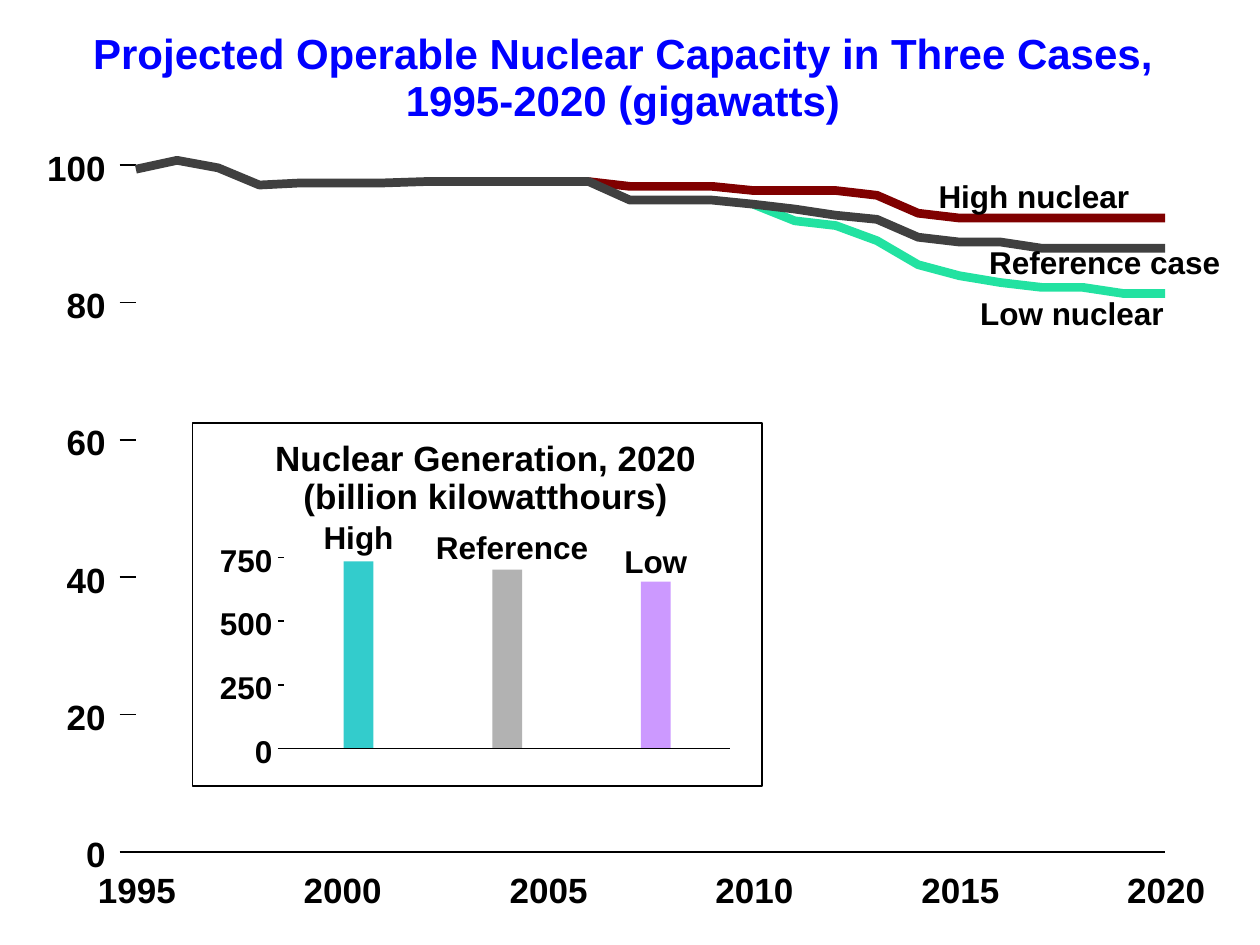
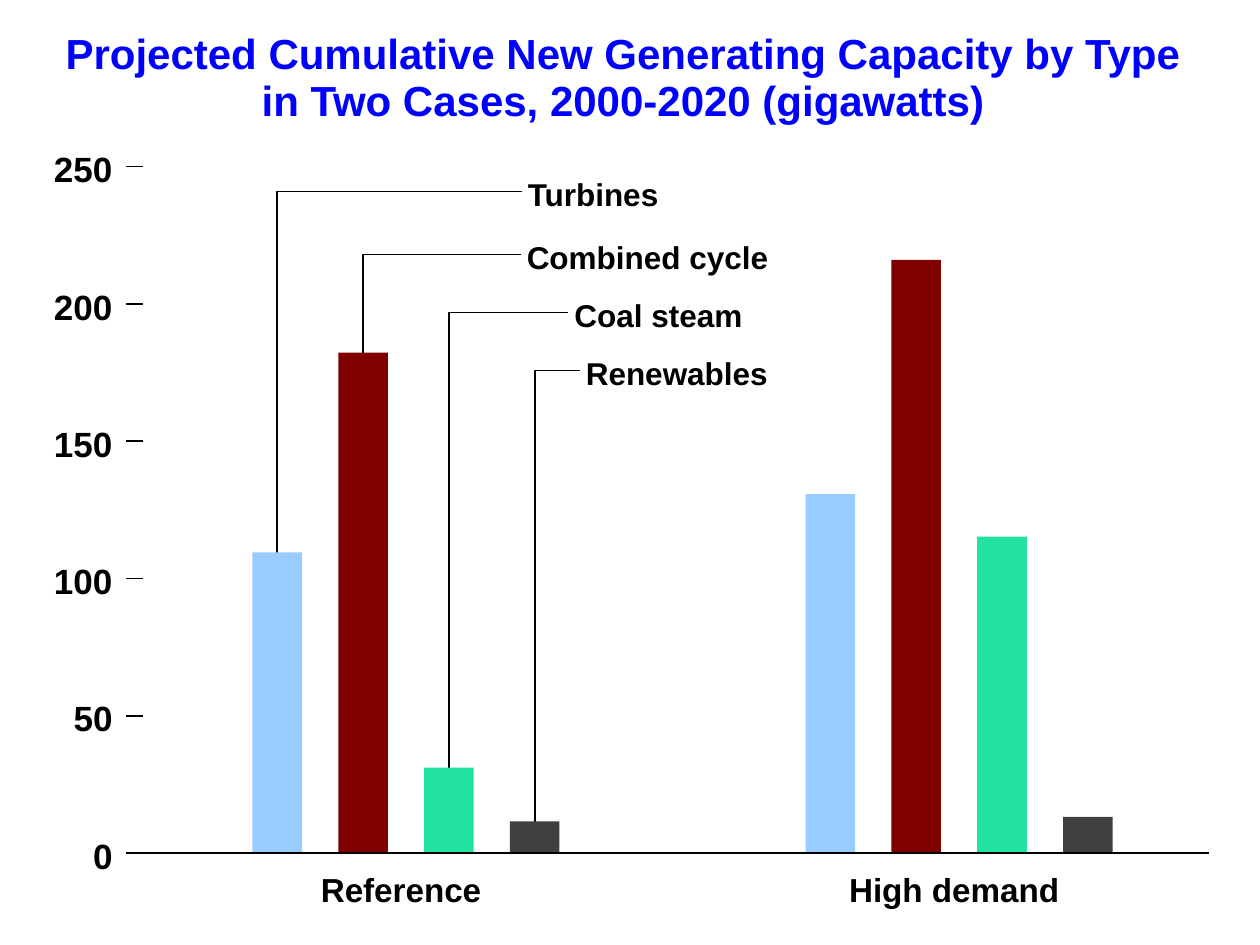
from pptx import Presentation, util as u
from pptx.dml.color import RGBColor
from pptx.enum import shapes, text
from pptx.oxml.ns import qn
from lxml import etree

BLACK, BLUE, MAROON, GREEN, GRAY = "000000", "0000FF", "800000", "22E2A1", "404040"
LEFT, CENTER, RIGHT = text.PP_ALIGN.LEFT, text.PP_ALIGN.CENTER, text.PP_ALIGN.RIGHT
FONT = {"name": "Arial", "bold": True}
TITLE_CENTER, TITLE_TOP = 12.56, 0.62
LINE_HEIGHT = 0.0423   # cm of line height per point of text
DIGIT_WIDTH = 0.0197   # cm of digit width per point of text
SLACK = 0.1            # cm added to each text width so that no line breaks


def rgb(value):
    return RGBColor.from_string(value)


def add_text(page, lines, left, top, width, size=18, align=CENTER, color=BLACK, spacing=None):
    """Place bold lines in a box; left is the edge or centre that align names."""
    width += SLACK
    shift = {LEFT: 0, CENTER: width / 2, RIGHT: width}[align]
    height = len(lines) * size * LINE_HEIGHT * (spacing or 1)
    box = page.shapes.add_textbox(u.Cm(left - shift), u.Cm(top), u.Cm(width), u.Cm(height))
    frame = box.text_frame
    layout = {"word_wrap": False, "auto_size": text.MSO_AUTO_SIZE.SHAPE_TO_FIT_TEXT,
              "margin_left": 0, "margin_top": 0, "margin_right": 0, "margin_bottom": 0}
    for name, value in layout.items():
        setattr(frame, name, value)
    for index, line in enumerate(lines):
        para = frame.add_paragraph() if index else frame.paragraphs[0]
        para.alignment = align
        if spacing:
            para.line_spacing = spacing
        span = para.add_run()
        span.text = line
        for name, value in {**FONT, "size": u.Pt(size)}.items():
            setattr(span.font, name, value)
        span.font.color.rgb = rgb(color)


def add_title(page, lines, width):
    add_text(page, lines, TITLE_CENTER, TITLE_TOP, width, 24, color=BLUE, spacing=0.95)


def set_line(shape, color, width):
    shape.line.color.rgb = rgb(color)
    shape.line.width = u.Pt(width)


def add_rule(page, x1, x2, y):
    rule = page.shapes.add_connector(
        shapes.MSO_CONNECTOR.STRAIGHT, u.Cm(x1), u.Cm(y), u.Cm(x2), u.Cm(y))
    set_line(rule, BLACK, 1)
    etree.SubElement(rule.element.spPr, qn("a:effectLst"))


def add_rect(page, left, top, width, height, fill=None):
    """Filled bar, or an outlined frame when no fill is given."""
    rect = page.shapes.add_shape(
        shapes.MSO_SHAPE.RECTANGLE, u.Cm(left), u.Cm(top), u.Cm(width), u.Cm(height))
    rect.shadow.inherit = False
    if fill:
        rect.fill.solid()
        rect.fill.fore_color.rgb = rgb(fill)
        rect.line.fill.background()
    else:
        rect.fill.background()
        set_line(rect, BLACK, 1)


def add_path(page, points, color, width):
    places = [(u.Cm(x), u.Cm(y)) for x, y in points]
    builder = page.shapes.build_freeform(*places[0], scale=1.0)
    builder.add_line_segments(places[1:], close=False)
    outline = builder.convert_to_shape()
    outline.shadow.inherit = False
    outline.fill.background()
    set_line(outline, color, width)


def height_of(value, box, peak):
    return value / peak * box[3]


def add_axes(page, box, peak, step, size=20, tick=0.33):
    """Baseline, ticks and right-aligned values of a plot box."""
    left, top, width, height = box
    for value in range(0, peak + 1, step):
        y = top + height - height_of(value, box, peak)
        add_rule(page, left - tick, left, y)
        number = str(value)
        add_text(page, [number], left - 1.85 * tick, y - 0.45 * size * LINE_HEIGHT,
                 len(number) * size * DIGIT_WIDTH, size, RIGHT)
    add_rule(page, left, left + width, top + height)


def add_bar(page, box, peak, x, width, value, color):
    """Bar standing on the baseline; returns its top."""
    height = height_of(value, box, peak)
    top = box[1] + box[3] - height
    add_rect(page, x, top, width, height, color)
    return top


# Slide 1: capacity lines with an inset bar plot

FIRST_YEAR, LAST_YEAR = 1995, 2020
SERIES = [  # first year, colour, gigawatts by year
    (2010, GREEN, [94.3, 91.9, 91.2, 89, 85.5, 83.9, 82.9, 82.2, 82.2, 81.3, 81.3]),
    (2006, MAROON, [97.6] + [96.9] * 3 + [96.3] * 3 + [95.6, 93] + [92.3] * 6),
    (1995, GRAY, [99.4, 100.7, 99.6, 97.1] + [97.4] * 3 + [97.6] * 5 + [94.9] * 3
     + [94.3, 93.6, 92.7, 92.1, 89.5, 88.8, 88.8] + [87.9] * 4),
]
SERIES_LABELS = [  # text, offset in the plot, width
    ("High nuclear", 16.18, 0.23, 3.84),
    ("Reference case", 17.2, 1.57, 4.67),
    ("Low nuclear", 17.02, 2.59, 3.71),
]
GENERATION = [  # case, billion kilowatthours, colour, label width, label shift, label rise
    ("High", 735, "33CCCC", 1.42, 0, 0.88),
    ("Reference", 703, "B2B2B2", 3.07, 0.1, 0.84),
    ("Low", 656, "CC99FF", 1.27, 0, 0.8),
]


def add_capacity_lines(page, box):
    left, top, width, height = box
    peak = 100
    year_step = width / (LAST_YEAR - FIRST_YEAR)
    add_axes(page, box, peak, 20)
    for year in range(FIRST_YEAR, LAST_YEAR + 1, 5):
        add_text(page, [str(year)], left + (year - FIRST_YEAR) * year_step + 0.02,
                 top + height + 0.33, 1.57, 20)
    for start, color, values in SERIES:
        points = [(left + (year - FIRST_YEAR) * year_step,
                   top + height - height_of(value, box, peak))
                  for year, value in enumerate(values, start)]
        add_path(page, points, color, 5)
    for label, dx, dy, label_width in SERIES_LABELS:
        add_text(page, [label], left + dx, top + dy, label_width, align=LEFT)


def add_generation_inset(page, box):
    left, top, width, height = box
    add_rect(page, *box)
    add_text(page, ["Nuclear Generation, 2020", "(billion kilowatthours)"],
             left + 5.91, top + 0.36, 8.48, 20, spacing=0.9)
    plot = (left + 1.85, top + 2.71, 8.99, 3.85)
    peak, bar_width = 750, 0.6
    slot = plot[2] / len(GENERATION)
    for index, (case, value, color, label_width, shift, rise) in enumerate(GENERATION):
        center = plot[0] + (index + 0.5) * slot
        bar_top = add_bar(page, plot, peak, center - bar_width / 2, bar_width, value, color)
        add_text(page, [case], center + shift, bar_top - rise, label_width)
    add_axes(page, plot, peak, 250, 18, 0.13)


def add_nuclear_slide(page):
    add_title(page, ["Projected Operable Nuclear Capacity in Three Cases,",
                     "1995-2020 (gigawatts)"], 21.36)
    add_capacity_lines(page, (2.74, 3.33, 20.75, 13.84))
    add_generation_inset(page, (3.88, 8.53, 11.48, 7.32))


# Slide 2: grouped bars with leader labels

CASES = [  # case, label width, gigawatts by type
    ("Reference", 3.23, [109.6, 182.3, 31.2, 11.6]),
    ("High demand", 4.24, [130.7, 216.1, 115.3, 13.2]),
]
TYPES = [  # type, bar colour, leader foot, elbow and end in the plot, label width
    ("Turbines", "99CCFF", 9.06, 0.5, 7.64, 2.69),
    ("Combined cycle", MAROON, 4.23, 1.77, 7.62, 4.88),
    ("Coal steam", GREEN, 12.46, 2.94, 8.58, 3.38),
    ("Renewables", GRAY, 13.35, 4.11, 8.81, 3.68),
]
BAR_INSET, BAR_WIDTH, BAR_PITCH, GROUP_PITCH = 2.21, 1.0, 1.73, 11.15


def add_type_leaders(page, box):
    left, top = box[:2]
    for index, (kind, _, foot, elbow, end, label_width) in enumerate(TYPES):
        x = left + BAR_INSET + index * BAR_PITCH + BAR_WIDTH / 2
        y = top + elbow
        add_path(page, [(x, top + foot), (x, y), (left + end, y)], BLACK, 1)
        add_text(page, [kind], left + end + 0.12, y - 0.33, label_width, align=LEFT)


def add_type_bars(page, box):
    left, top, width, height = box
    group_width = (len(TYPES) - 1) * BAR_PITCH + BAR_WIDTH
    for group, (case, label_width, values) in enumerate(CASES):
        start = left + BAR_INSET + group * GROUP_PITCH
        for index, value in enumerate(values):
            add_bar(page, box, 250, start + index * BAR_PITCH, BAR_WIDTH, value, TYPES[index][1])
        add_text(page, [case], start + group_width / 2 - 0.1, top + height + 0.33,
                 label_width, 19)
    add_axes(page, box, 250, 50)


def add_types_slide(page):
    plot = (2.88, 3.36, 21.49, 13.84)
    add_title(page, ["Projected Cumulative New Generating Capacity by Type",
                     "in Two Cases, 2000-2020 (gigawatts)"], 22.53)
    add_type_leaders(page, plot)
    add_type_bars(page, plot)


def main():
    deck = Presentation()
    deck.slide_width, deck.slide_height = u.Cm(25.4), u.Cm(19.05)
    for build in (add_nuclear_slide, add_types_slide):
        build(deck.slides.add_slide(deck.slide_layouts[6]))
    deck.save("out.pptx")


if __name__ == "__main__":
    main()
